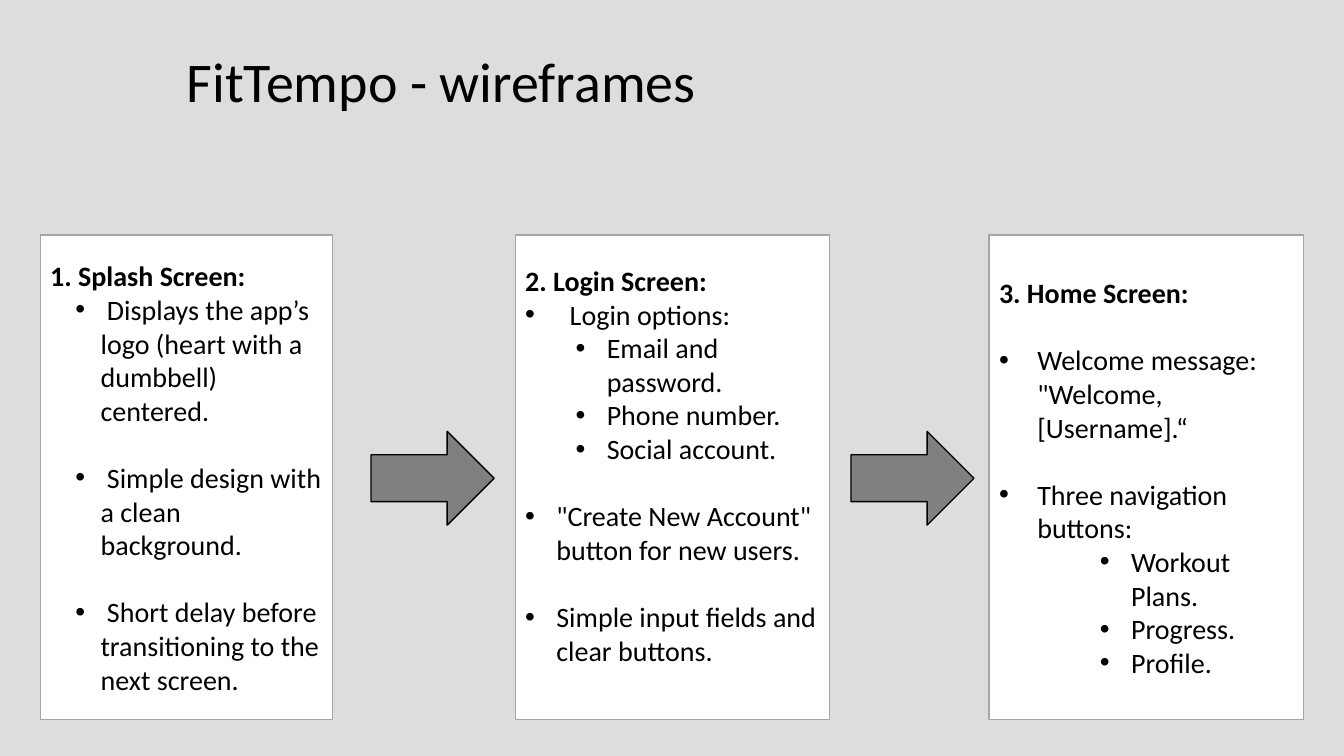
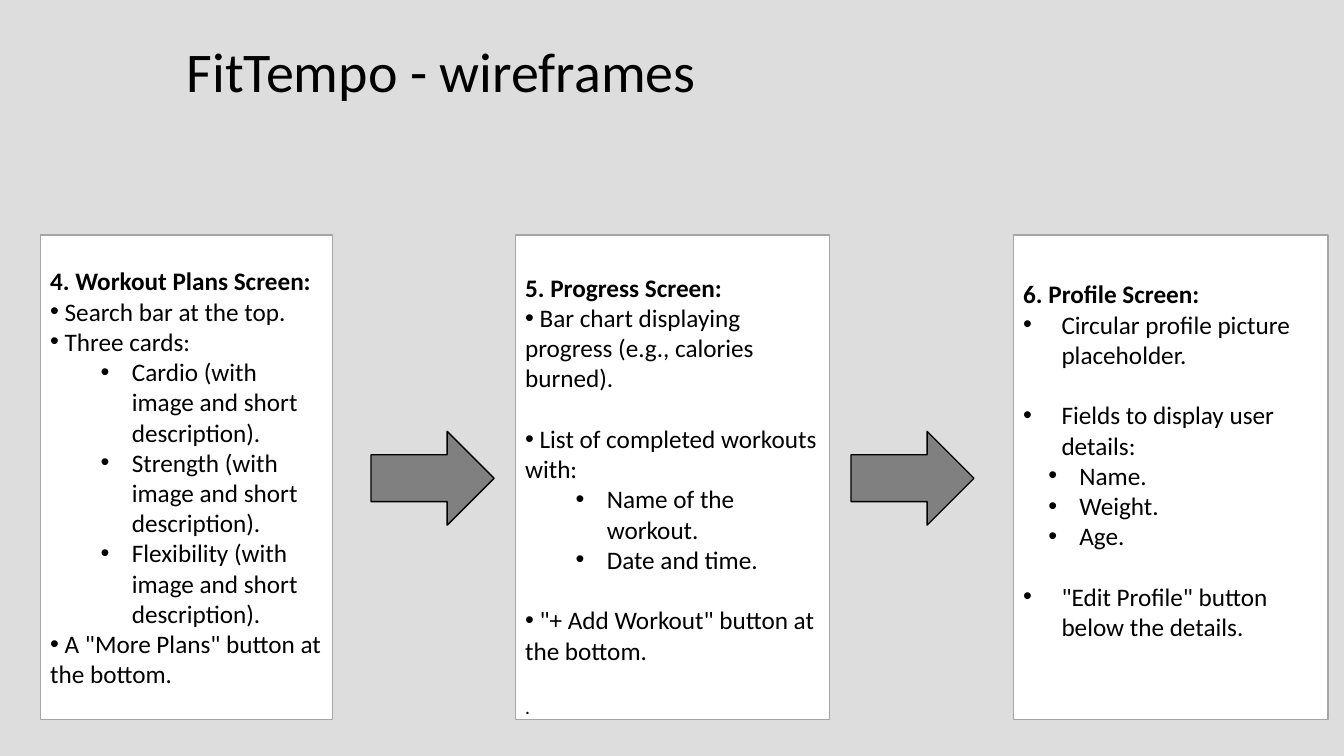
from pptx import Presentation
from pptx.dml.color import RGBColor
from pptx.enum.shapes import MSO_SHAPE
from pptx.enum.text import MSO_ANCHOR, MSO_AUTO_SIZE, PP_ALIGN
from pptx.oxml.ns import qn
from pptx.util import Inches, Pt
from lxml import etree

RECTANGLE = MSO_SHAPE.RECTANGLE
RIGHT_ARROW = MSO_SHAPE.RIGHT_ARROW
MIDDLE, BOTTOM = MSO_ANCHOR.MIDDLE, MSO_ANCHOR.BOTTOM
NO_FIT = MSO_AUTO_SIZE.NONE
LEFT, CENTER = PP_ALIGN.LEFT, PP_ALIGN.CENTER

COLORS = {
    "background": "DDDDDD",
    "card": "FFFFFF",
    "card_border": "A5A5A5",
    "arrow": "808080",
    "ink": "000000",
}
FONT = "Calibri"
LINE_FACTOR = 1.2
TITLE_ONLY = 5

INDENTS = {
    "heading": None,
    "text": None,
    "flush": (0, 0),
    "item": (0.31, -0.31),
    "wide": (0.38, -0.38),
    "inner": (0.5, -0.25),
    "sub": (0.81, -0.31),
    "deep": (1.31, -0.31),
}

SCREENS = [
    {
        "title_top": 0.26,
        "cards": [
            {"left": 0.4, "width": 2.9, "size": 20, "lines": [
                ("heading", "1. Splash Screen:"),
                ("inner", " Displays the app’s logo (heart with a dumbbell) centered."),
                ("inner", " Simple design with a clean background.", 1),
                ("inner", " Short delay before transitioning to the next screen.", 1),
            ]},
            {"left": 5.11, "width": 3.12, "size": 20, "shift": -0.12, "lines": [
                ("heading", "2. Login Screen:"),
                ("wide", " Login options:"),
                ("sub", "Email and password."),
                ("sub", "Phone number."),
                ("sub", "Social account."),
                ("item", '"Create New Account" button for new users.', 1),
                ("item", "Simple input fields and clear buttons.", 1),
            ]},
            {"left": 9.81, "width": 3.12, "size": 20, "lines": [
                ("heading", "3. Home Screen:"),
                ("wide", 'Welcome message: "Welcome, [Username].“', 1),
                ("wide", "Three navigation buttons:", 1),
                ("deep", "Workout Plans."),
                ("deep", "Progress."),
                ("deep", "Profile."),
            ]},
        ],
    },
    {
        "title_top": 0.16,
        "cards": [
            {"left": 0.4, "width": 2.9, "size": 18, "lines": [
                ("heading", "4. Workout Plans Screen:"),
                ("flush", " Search bar at the top."),
                ("flush", " Three cards:"),
                ("sub", "Cardio (with image and short description)."),
                ("sub", "Strength (with image and short description)."),
                ("sub", "Flexibility (with image and short description)."),
                ("flush", ' A "More Plans" button at the bottom.'),
            ]},
            {"left": 5.11, "width": 3.12, "size": 18, "shift": 0.18, "lines": [
                ("heading", "5. Progress Screen:"),
                ("flush", " Bar chart displaying progress (e.g., calories burned)."),
                ("flush", " List of completed workouts with:", 1),
                ("sub", "Name of the workout."),
                ("sub", "Date and time."),
                ("flush", ' "+ Add Workout" button at the bottom.', 1),
                ("text", ".", 1, 14),
            ]},
            {"left": 10.05, "width": 3.12, "size": 18, "shift": -0.17, "lines": [
                ("heading", "6. Profile Screen:"),
                ("wide", "Circular profile picture placeholder."),
                ("wide", "Fields to display user details:", 1),
                ("inner", " Name."),
                ("inner", " Weight."),
                ("inner", " Age."),
                ("wide", '"Edit Profile" button below the details.', 1),
            ]},
        ],
    },
]


def write(paragraph, text, size=20, bold=False, align=LEFT, before=0, spacing=1.0, indent=None):
    paragraph.alignment = align
    paragraph.line_spacing = spacing
    paragraph.space_before = Pt(before)
    run = paragraph.add_run()
    run.text = text
    run.font.name = FONT
    run.font.size = Pt(size)
    run.font.bold = bold
    run.font.color.rgb = RGBColor.from_string(COLORS["ink"])
    if indent:
        margin, hanging = indent
        properties = paragraph._p.get_or_add_pPr()
        properties.set("marL", str(Inches(margin)))
        properties.set("indent", str(Inches(hanging)))
        etree.SubElement(properties, qn("a:buFont"), typeface="Arial")
        etree.SubElement(properties, qn("a:buChar"), char="•")


class WireframeDeck:
    def __init__(self):
        self.deck = Presentation()
        self.deck.slide_width = Inches(13.33)
        self.deck.slide_height = Inches(7.5)
        background = self.deck.slide_master.background.fill
        background.solid()
        background.fore_color.rgb = RGBColor.from_string(COLORS["background"])
        self.slide = None

    def new_slide(self):
        self.slide = self.deck.slides.add_slide(self.deck.slide_layouts[TITLE_ONLY])

    def title(self, text, top):
        heading = self.slide.shapes.title
        heading.left, heading.top = Inches(0), Inches(top)
        heading.width, heading.height = Inches(8.75), Inches(0.93)
        frame = heading.text_frame
        frame.auto_size = NO_FIT
        frame.vertical_anchor = BOTTOM
        write(frame.paragraphs[0], text, size=40, align=CENTER, spacing=0.9)

    def shape(self, kind, left, top, width, height, fill, border):
        shape = self.slide.shapes.add_shape(
            kind, Inches(left), Inches(top), Inches(width), Inches(height))
        shape.shadow.inherit = False
        shape.fill.solid()
        shape.fill.fore_color.rgb = RGBColor.from_string(COLORS[fill])
        shape.line.color.rgb = RGBColor.from_string(COLORS[border])
        shape.line.width = Pt(1)
        return shape

    def card(self, left, width, size, lines, shift=0):
        panel = self.shape(RECTANGLE, left, 2.33, width, 4.81, "card", "card_border")
        frame = panel.text_frame
        frame.word_wrap = True
        frame.vertical_anchor = MIDDLE
        frame.margin_top = Inches(max(0, 2 * shift))
        frame.margin_bottom = Inches(max(0, -2 * shift))
        for index, (style, text, *extras) in enumerate(lines):
            gap, line_size = (extras + [0, size][len(extras):])[:2]
            paragraph = frame.add_paragraph() if index else frame.paragraphs[0]
            write(paragraph, text, size=line_size, bold=style == "heading",
                  before=gap * size * LINE_FACTOR, indent=INDENTS[style])

    def arrow(self, left):
        self.shape(RIGHT_ARROW, left, 4.28, 1.22, 0.93, "arrow", "ink")

    def save(self):
        self.deck.save("out.pptx")


def main():
    wireframes = WireframeDeck()
    for screen in SCREENS:
        wireframes.new_slide()
        wireframes.title("FitTempo - wireframes", screen["title_top"])
        for card in screen["cards"]:
            wireframes.card(**card)
        for left in (3.68, 8.44):
            wireframes.arrow(left)
    wireframes.save()


if __name__ == "__main__":
    main()
